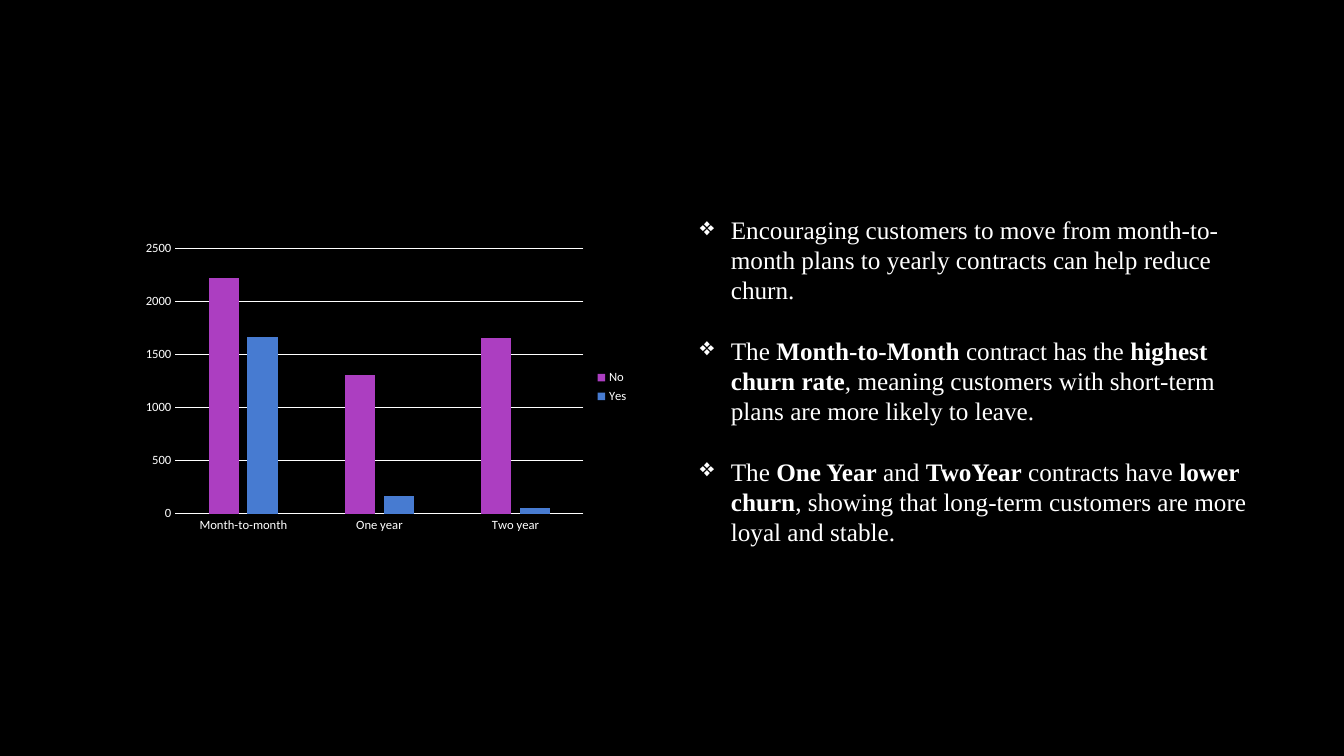
from lxml import etree
from pptx import Presentation
from pptx.chart.data import CategoryChartData
from pptx.dml.color import RGBColor
from pptx.enum.chart import XL_CHART_TYPE, XL_LEGEND_POSITION, XL_TICK_MARK
from pptx.enum.shapes import MSO_SHAPE
from pptx.oxml import parse_xml
from pptx.oxml.ns import nsdecls, qn
from pptx.util import Pt

EMU_PER_PX = 914400 / 100.8
BLACK = RGBColor(0x00, 0x00, 0x00)
WHITE = RGBColor(0xFF, 0xFF, 0xFF)
PURPLE = RGBColor(0xAC, 0x3E, 0xC1)
BLUE = RGBColor(0x47, 0x7B, 0xD1)
COLUMNS = XL_CHART_TYPE.COLUMN_CLUSTERED
LEGEND_RIGHT = XL_LEGEND_POSITION.RIGHT
NO_TICK = XL_TICK_MARK.NONE
RECT = MSO_SHAPE.RECTANGLE

CONTRACTS = ("Month-to-month", "One year", "Two year")
CHURN = (("No", (2220, 1310, 1650), PURPLE), ("Yes", (1660, 170, 50), BLUE))
# Each finding is a list of text pieces; every second piece is bold.
FINDINGS = (
    ("Encouraging customers to move from month-to-month plans to yearly "
     "contracts can help reduce churn.",),
    ("The ", "Month-to-Month", " contract has the ", "highest churn rate",
     ", meaning customers with short-term plans are more likely to leave."),
    ("The ", "One Year", " and ", "TwoYear", " contracts have ", "lower churn",
     ", showing that long-term customers are more loyal and stable."),
)


def px(n):
    return round(n * EMU_PER_PX)


def set_font(font, name, size, color=WHITE, bold=False):
    font.name, font.size, font.bold = name, Pt(size), bold
    font.color.rgb = color


def add_text(p, text, **fmt):
    r = p.add_run()
    r.text = text
    set_font(r.font, **fmt)


def set_plot_area(chart, **fractions):
    """Fix the inner plot area as fractions (x, y, w, h) of the chart."""
    parts = "".join(f'<c:{k}Mode val="edge"/>' for k in "xy")
    parts += "".join(f'<c:{k} val="{v}"/>' for k, v in fractions.items())
    layout = parse_xml(
        f'<c:layout {nsdecls("c")}><c:manualLayout><c:layoutTarget val="inner"/>'
        f'{parts}</c:manualLayout></c:layout>')
    plot_area = chart.plots[0]._element.getparent()
    for old in plot_area.findall(qn("c:layout")):
        plot_area.remove(old)
    plot_area.insert(0, layout)


class Deck:
    body_font, body_size, line_pitch = "Times New Roman", 18, 21.6
    chart_font, label_size = "Calibri", 9

    def __init__(self, width, height):
        self.prs = Presentation()
        self.prs.slide_width, self.prs.slide_height = px(width), px(height)
        self.s = self.prs.slides.add_slide(self.prs.slide_layouts[6])
        fill = self.s.background.fill
        fill.solid()
        fill.fore_color.rgb = BLACK

    def panel(self, *box):
        sp = self.s.shapes.add_shape(RECT, *map(px, box))
        sp.shadow.inherit = False
        sp.fill.solid()
        sp.fill.fore_color.rgb = BLACK
        sp.line.color.rgb = BLACK
        sp.line.width = Pt(1.5)

    def column_chart(self, *box, categories, series):
        data = CategoryChartData()
        data.categories = categories
        for name, values, _ in series:
            data.add_series(name, values)
        chart = self.s.shapes.add_chart(COLUMNS, *map(px, box), data).chart
        set_font(chart.font, self.chart_font, 10)
        chart.has_title = False
        chart.has_legend = True
        chart.legend.position = LEGEND_RIGHT
        chart.legend.include_in_layout = False
        set_font(chart.legend.font, self.chart_font, self.label_size)

        plot = chart.plots[0]
        plot.gap_width, plot.overlap, plot.vary_by_categories = 219, -27, False
        for bar, (_, _, color) in zip(plot.series, series):
            bar.format.fill.solid()
            bar.format.fill.fore_color.rgb = color

        cat_axis, val_axis = chart.category_axis, chart.value_axis
        for axis in (cat_axis, val_axis):
            axis.major_tick_mark = axis.minor_tick_mark = NO_TICK
            set_font(axis.tick_labels.font, self.chart_font, self.label_size)
        val_axis.minimum_scale, val_axis.maximum_scale = 0, 2500
        val_axis.major_unit = 500
        val_axis.format.line.fill.background()
        for line in (cat_axis.format.line, val_axis.major_gridlines.format.line):
            line.color.rgb = WHITE
            line.width = Pt(0.75)
        set_plot_area(chart, x=0.08, y=0.04, w=0.81, h=0.88)

    def bullets(self, *box, items, indent):
        tf = self.s.shapes.add_textbox(*map(px, box)).text_frame
        tf.word_wrap = True
        for i, pieces in enumerate(items):
            p = tf.paragraphs[0] if i == 0 else tf.add_paragraph()
            p.line_spacing = Pt(self.line_pitch)
            p.space_before = Pt(self.line_pitch if i else 0)
            pPr = p._p.get_or_add_pPr()
            pPr.set("marL", str(px(indent)))
            pPr.set("indent", str(-px(indent)))
            etree.SubElement(pPr, qn("a:buChar")).set("char", "❖")
            for j, text in enumerate(pieces):
                add_text(p, text, name=self.body_font, size=self.body_size,
                         bold=j % 2 == 1)


def main():
    deck = Deck(1344, 756)
    deck.panel(121, 192, 509, 373)
    deck.column_chart(135, 236, 504, 302, categories=CONTRACTS, series=CHURN)
    deck.bullets(690, 209, 581, 346, items=FINDINGS, indent=31)
    deck.prs.save("out.pptx")


if __name__ == "__main__":
    main()
